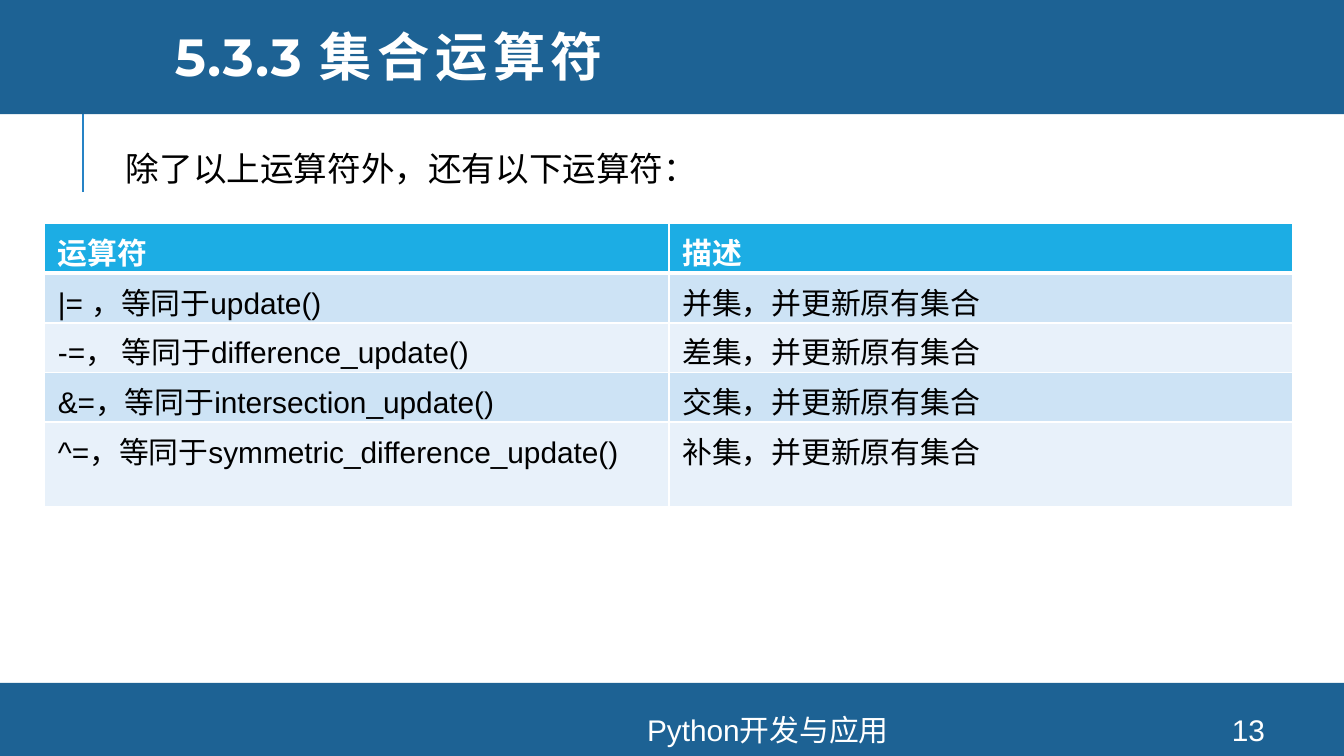
from lxml.etree import SubElement
from pptx import Presentation
from pptx.dml.color import RGBColor
from pptx.enum.shapes import MSO_CONNECTOR, MSO_SHAPE
from pptx.enum.text import MSO_ANCHOR, MSO_AUTO_SIZE, PP_ALIGN
from pptx.oxml import parse_xml
from pptx.oxml.ns import nsdecls, qn
from pptx.util import Cm, Pt

WHITE = RGBColor(0xFF, 0xFF, 0xFF)
BLACK = RGBColor(0, 0, 0)
BAND_BLUE = RGBColor(0x1D, 0x62, 0x94)
RULE_BLUE = RGBColor(0x26, 0x83, 0xC6)
HEADER_BLUE = RGBColor(0x1C, 0xAD, 0xE4)
ROW_BLUES = (RGBColor(0xCD, 0xE3, 0xF5), RGBColor(0xE8, 0xF1, 0xFA))
LATIN_FONT = "Arial"
TITLE_FONT = "Montserrat"
CHINESE_FONT = "Noto Sans CJK SC"

SLIDE_WIDTH, SLIDE_HEIGHT = Cm(25.4), Cm(14.29)

OPERATORS = [
    ("运算符", "描述"),
    ("|= ，等同于update()", "并集，并更新原有集合"),
    ("-=， 等同于difference_update()", "差集，并更新原有集合"),
    ("&=，等同于intersection_update()", "交集，并更新原有集合"),
    ("^=，等同于symmetric_difference_update()", "补集，并更新原有集合"),
]


def style_paragraph(paragraph, size, color, bold=False, latin=LATIN_FONT):
    font = paragraph.font
    font.size, font.bold, font.name = Pt(size), bold, latin
    font.color.rgb = color
    properties = paragraph._p.pPr.find(qn("a:defRPr"))
    SubElement(properties, qn("a:ea")).set("typeface", CHINESE_FONT)


def add_band(slide, left, top, width, height):
    band = slide.shapes.add_shape(MSO_SHAPE.RECTANGLE, left, top, width, height)
    band.shadow.inherit = False
    band.fill.solid()
    band.fill.fore_color.rgb = BAND_BLUE
    band.line.fill.background()


def add_text(slide, text, left, top, width, height, size, color):
    box = slide.shapes.add_textbox(left, top, width, height)
    paragraph = box.text_frame.paragraphs[0]
    paragraph.text = text
    style_paragraph(paragraph, size, color)
    return box


def add_header(slide, left, top, width, height):
    """Band with the title on it and a rule hanging below."""
    rule_left = left + Cm(1.57)
    rule = slide.shapes.add_connector(
        MSO_CONNECTOR.STRAIGHT, rule_left, top + Cm(3.71), rule_left, top + Cm(1.81))
    rule.line.color.rgb = RULE_BLUE
    rule.line.width = Pt(1.5)
    SubElement(rule._element.spPr, qn("a:effectLst"))
    add_band(slide, left, top, width, height)

    title = slide.shapes.title
    title.left, title.top = left + Cm(3.05), top + Cm(0.08)
    title.width, title.height = width - Cm(3.84), Cm(2.31)
    slide.shapes._spTree.append(title._element)  # bring in front of the band
    title.text_frame.vertical_anchor = MSO_ANCHOR.MIDDLE
    title.text_frame.auto_size = MSO_AUTO_SIZE.NONE
    paragraph = title.text_frame.paragraphs[0]
    paragraph.alignment = PP_ALIGN.LEFT
    paragraph.line_spacing = 0.8
    style_paragraph(paragraph, 28, WHITE, bold=True, latin=TITLE_FONT)
    for text, font_name, spacing in (("5.3.3 ", TITLE_FONT, 80),
                                     ("集合运算符", CHINESE_FONT, 300)):
        run = paragraph.add_run()
        run.text = text
        run.font.name = font_name
        run._r.get_or_add_rPr().set("spc", str(spacing))


def add_footer(slide, left, top, width, height):
    add_band(slide, left, top, width, height)
    for text, offset, text_width in (("Python开发与应用", Cm(6.63), Cm(15.77)),
                                     ("13", Cm(22.58), Cm(2.03))):
        box = add_text(slide, text, left + offset, top + Cm(0.59),
                       text_width, Cm(0.58), 16, WHITE)
        box.text_frame.word_wrap = True
        box.text_frame.vertical_anchor = MSO_ANCHOR.MIDDLE
        box.text_frame.paragraphs[0].alignment = PP_ALIGN.CENTER


def add_introduction(slide, left, top, width, height):
    box = add_text(slide, "除了以上运算符外，还有以下运算符：",
                   left, top, width, height, 18, BLACK)
    box.text_frame.word_wrap = False
    box.text_frame.auto_size = MSO_AUTO_SIZE.SHAPE_TO_FIT_TEXT


def set_borders(cell, top, bottom):
    """White borders: 1 pt at the sides, the given points above and below."""
    properties = cell._tc.get_or_add_tcPr()
    widths = (("lnL", 1), ("lnR", 1), ("lnT", top), ("lnB", bottom))
    for position, (tag, points) in enumerate(widths):
        properties.insert(position, parse_xml(
            f'<a:{tag} {nsdecls("a")} w="{Pt(points)}"><a:solidFill>'
            f'<a:srgbClr val="{WHITE}"/></a:solidFill></a:{tag}>'))


def add_operator_table(slide, left, top, width, height):
    row_count, column_count = len(OPERATORS), len(OPERATORS[0])
    table = slide.shapes.add_table(
        row_count, column_count, left, top, width, height).table
    row_height = Cm(0.94)
    for row in table.rows:
        row.height = row_height
    table.rows[row_count - 1].height = height - row_height * (row_count - 1)

    for row_index, texts in enumerate(OPERATORS):
        is_header = row_index == 0
        for column_index, text in enumerate(texts):
            cell = table.cell(row_index, column_index)
            cell.margin_bottom = 0
            cell.fill.solid()
            cell.fill.fore_color.rgb = (
                HEADER_BLUE if is_header else ROW_BLUES[(row_index - 1) % 2])
            set_borders(cell, top=3 if row_index == 1 else 1,
                        bottom=3 if is_header else 1)
            paragraph = cell.text_frame.paragraphs[0]
            paragraph.text = text
            style_paragraph(paragraph, 16, WHITE if is_header else BLACK, is_header)


def main():
    presentation = Presentation()
    presentation.slide_width, presentation.slide_height = SLIDE_WIDTH, SLIDE_HEIGHT
    slide = presentation.slides.add_slide(presentation.slide_layouts[5])

    footer_height = Cm(1.38)
    add_header(slide, 0, Cm(-0.08), SLIDE_WIDTH, Cm(2.24))
    add_footer(slide, 0, SLIDE_HEIGHT - footer_height, SLIDE_WIDTH, footer_height)
    add_introduction(slide, Cm(2.13), Cm(2.67), Cm(11.3), Cm(1.02))
    add_operator_table(slide, Cm(0.84), Cm(4.22), Cm(23.6), Cm(5.36))
    presentation.save("out.pptx")


if __name__ == "__main__":
    main()
